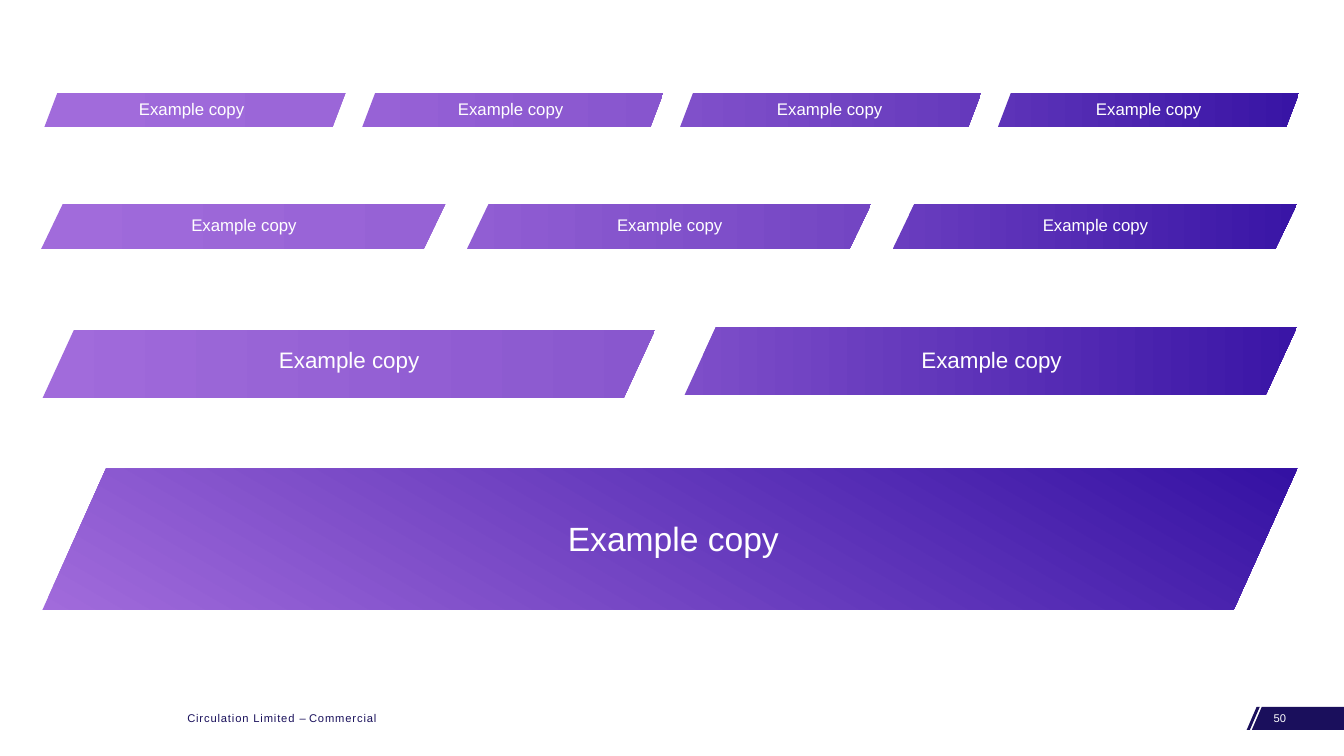
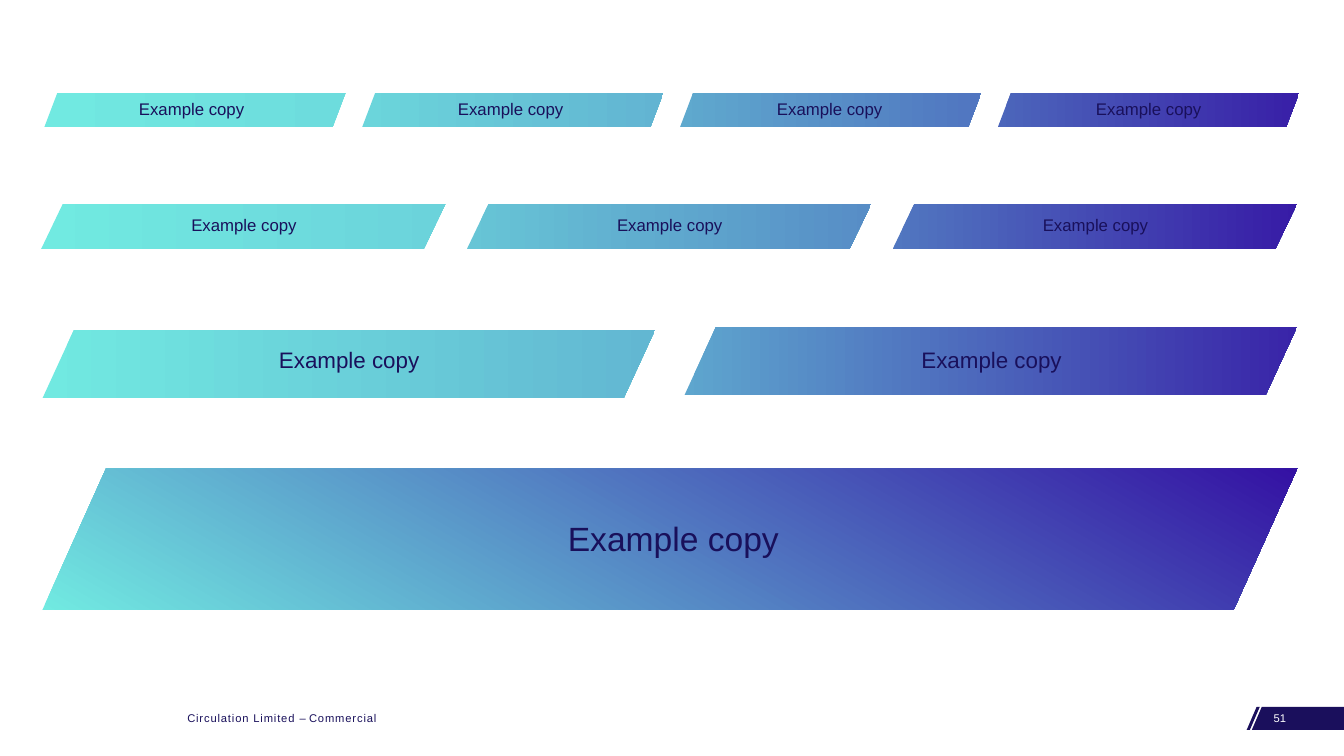
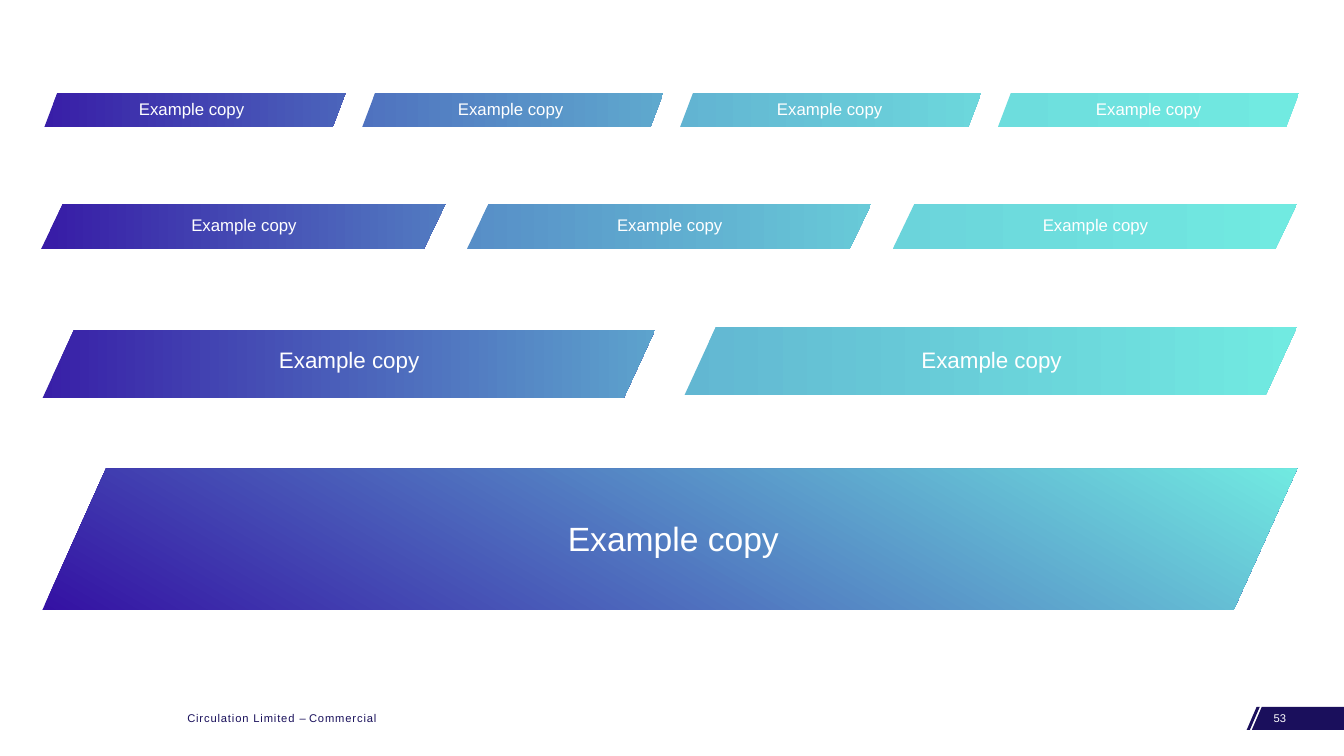
"""Build three slides of gradient parallelogram banners with a shared footer."""
from dataclasses import dataclass

import pptx
import pptx.dml.color
import pptx.enum.shapes
import pptx.enum.text
import pptx.util

Cm = pptx.util.Cm
PP_ALIGN = pptx.enum.text.PP_ALIGN
MSO_ANCHOR = pptx.enum.text.MSO_ANCHOR

FONT = "Arial"
NAVY = "19105B"
BADGE = "1A0F5C"
WHITE = "FFFFFF"
FOOTER_TOP = 17.81
FOOTER_BOTTOM = 18.39
FOOTER_RUNS = (("Circulation Limited ", 0.6), ("– ", 0), ("Commercial", 0.6))


@dataclass(frozen=True)
class Row:
    count: int
    left: float
    top: float
    pitch: float
    width: float
    height: float
    skew: float
    label_left: float
    label_top: float
    label_pitch: float
    label_width: float
    size: int
    rise: float = 0
    angle: int = 0


@dataclass(frozen=True)
class Theme:
    number: str
    text_color: str
    gradients: tuple[tuple[tuple[str, str], ...], ...]


ROWS = (
    Row(4, 1.12, 2.34, 8.01, 7.59, 0.86, 0.38, 1.07, 2.34, 8.04, 7.52, 12),
    Row(3, 1.04, 5.13, 10.73, 10.19, 1.14, 0.48, 1.07, 5.13, 10.73, 10.16, 12),
    Row(2, 1.07, 8.31, 16.18, 15.44, 1.73, 0.46, 1.03, 8.23, 16.19, 15.54, 16, rise=0.08),
    Row(1, 1.07, 11.81, 0, 31.62, 3.56, 0.45, 1.07, 11.84, 0, 31.8, 24, angle=60),
)

THEMES = (
    Theme("50", WHITE, (
        (("A16BDB", "9B66D8"), ("9762D6", "8755CE"), ("8050CA", "6539BC"), ("5D33B8", "3814A5")),
        (("A16BDB", "9662D5"), ("915ED3", "7345C3"), ("6A3DBF", "3915A6")),
        (("A16BDB", "8957CE"), ("7E4EC9", "3A15A6")),
        (("A16BDB", "3411A3"),),
    )),
    Theme("51", NAVY, (
        (("71E9E1", "6DDCDD"), ("6BD5DB", "62B4D2"), ("5FA9CE", "5075C0"), ("4C66BB", "381FA7")),
        (("71EAE1", "6BD3DB"), ("67C5D6", "578DC6"), ("5177C0", "371BA6")),
        (("71E9E1", "62B7D2"), ("5EA6CE", "3924A8")),
        (("71EAE1", "3411A3"),),
    )),
    Theme("53", WHITE, (
        (("381EA7", "4B64BB"), ("4F72BF", "5FA9CE"), ("62B4D2", "6CD7DC"), ("6DDDDD", "71EAE1")),
        (("371BA6", "527BC1"), ("578EC7", "68CAD8"), ("6BD4DB", "71EAE1")),
        (("381FA7", "5DA3CD"), ("62B7D2", "71EAE1")),
        (("3411A3", "71EAE1"),),
    )),
)


def rgb(color: str) -> pptx.dml.color.RGBColor:
    return pptx.dml.color.RGBColor.from_string(color)


def add_run(p, text: str, *, size: float, color: str, spacing: float = 0) -> None:
    r = p.add_run()
    r.text = text
    r.font.name = FONT
    r.font.size = pptx.util.Pt(size)
    r.font.color.rgb = rgb(color)
    if spacing:
        r._r.get_or_add_rPr().set("spc", str(round(spacing * 100)))


def add_box(slide, left: float, top: float, width: float, height: float, *,
            align=PP_ALIGN.LEFT, anchor=MSO_ANCHOR.TOP, line_spacing: float = 1.0):
    sp = slide.shapes.add_textbox(Cm(left), Cm(top), Cm(width), Cm(height))
    tf = sp.text_frame
    tf.word_wrap = True
    tf.vertical_anchor = anchor
    p = tf.paragraphs[0]
    p.alignment = align
    p.line_spacing = line_spacing
    return p


def add_banner(slide, row: Row, index: int, colors: tuple[str, str]) -> None:
    sp = slide.shapes.add_shape(
        pptx.enum.shapes.MSO_SHAPE.PARALLELOGRAM,
        Cm(row.left + index * row.pitch), Cm(row.top - index * row.rise),
        Cm(row.width), Cm(row.height))
    sp.adjustments[0] = row.skew
    sp.shadow.inherit = False
    sp.line.fill.background()
    sp.fill.gradient()
    sp.fill.gradient_angle = row.angle
    for stop, color in zip(sp.fill.gradient_stops, colors):
        stop.color.rgb = rgb(color)
    for stop, position in zip(sp.fill.gradient_stops, (0, 1)):
        stop.position = position


def add_label(slide, row: Row, index: int, color: str) -> None:
    p = add_box(slide, row.label_left + index * row.label_pitch, row.label_top,
                row.label_width, row.height, align=PP_ALIGN.CENTER,
                anchor=MSO_ANCHOR.MIDDLE, line_spacing=0.9)
    add_run(p, "Example copy", size=row.size, color=color)


def add_footer(slide, number: str) -> None:
    tick = ((31.75, FOOTER_TOP), (31.67, FOOTER_TOP), (31.42, FOOTER_BOTTOM), (31.5, FOOTER_BOTTOM))
    plate = ((33.87, FOOTER_TOP), (31.8, FOOTER_TOP), (31.55, FOOTER_BOTTOM), (33.87, FOOTER_BOTTOM))
    outlines = [[(Cm(x), Cm(y)) for x, y in outline] for outline in (tick, plate)]
    builder = slide.shapes.build_freeform(*outlines[0][0])
    builder.add_line_segments(outlines[0][1:], close=True)
    builder.move_to(*outlines[1][0])
    builder.add_line_segments(outlines[1][1:], close=True)
    sp = builder.convert_to_shape()
    sp.shadow.inherit = False
    sp.line.fill.background()
    sp.fill.solid()
    sp.fill.fore_color.rgb = rgb(BADGE)

    p = add_box(slide, 4.47, FOOTER_TOP, 5.56, 0.61)
    for text, spacing in FOOTER_RUNS:
        add_run(p, text, size=8, color=NAVY, spacing=spacing)
    p = add_box(slide, 31.85, FOOTER_TOP, 1.57, 0.61)
    add_run(p, number, size=8, color=WHITE)


def add_theme_slide(prs, theme: Theme) -> None:
    slide = prs.slides.add_slide(prs.slide_layouts[6])
    add_footer(slide, theme.number)
    for row, gradients in zip(ROWS, theme.gradients):
        for index, colors in enumerate(gradients):
            add_banner(slide, row, index, colors)
            add_label(slide, row, index, theme.text_color)


def main() -> None:
    prs = pptx.Presentation()
    prs.slide_width = Cm(33.87)
    prs.slide_height = Cm(19.05)
    for theme in THEMES:
        add_theme_slide(prs, theme)
    prs.save("out.pptx")


if __name__ == "__main__":
    main()
